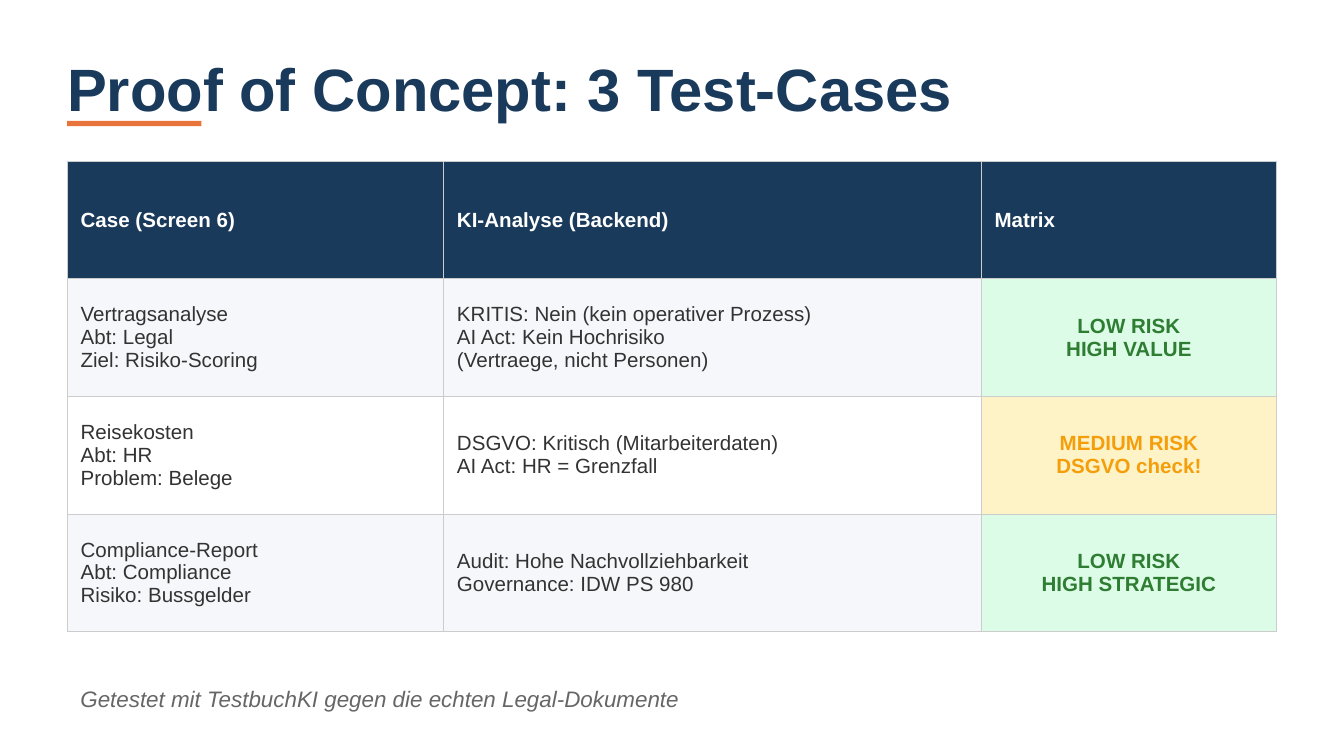
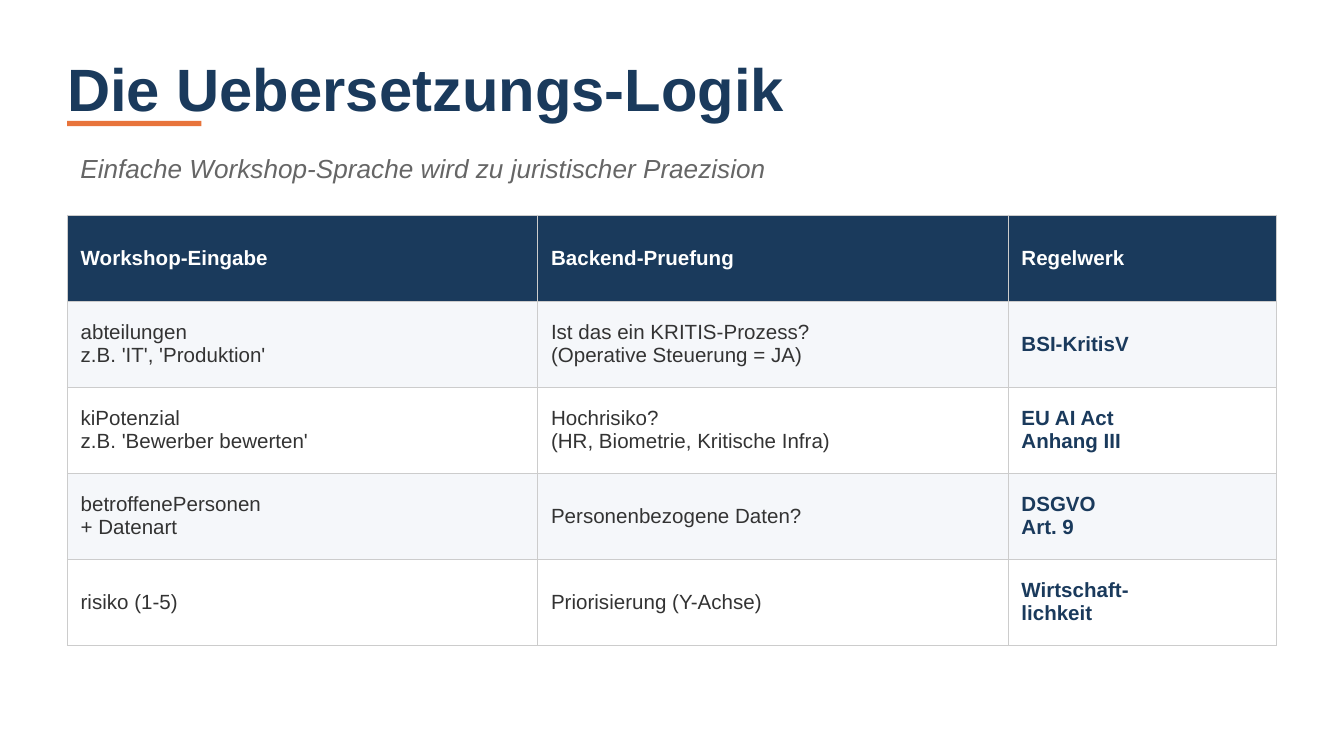
from lxml import etree
from pptx import Presentation
from pptx import util as u
from pptx.dml import color
from pptx.enum import shapes, text
from pptx.oxml import ns

FONT = "Arial"
NAVY, ORANGE, WHITE = "1A3A5C", "E8743B", "FFFFFF"
INK, GREY, RULE, STRIPE = "333333", "666666", "CCCCCC", "F5F7FA"
GREEN, GREEN_TINT = "2E7D32", "DCFCE7"
AMBER, AMBER_TINT = "F59E0B", "FEF3C7"

SLIDE_WIDTH = 10
SLIDE_HEIGHT = SLIDE_WIDTH * 9 / 16
LEFT, WIDTH = 0.5, 9
TITLE_STYLE = {"size": 32, "color": NAVY, "bold": True}
HEADER_STYLE = {"size": 11, "color": WHITE, "bold": True}
BODY_STYLE = {"size": 11, "color": INK, "bold": False}
RULEBOOK_STYLE = {"size": 11, "color": NAVY, "bold": True}

# Rating name -> text colour and cell fill
RATINGS = {"low": (GREEN, GREEN_TINT), "medium": (AMBER, AMBER_TINT)}

CASES = [
    ("Vertragsanalyse\nAbt: Legal\nZiel: Risiko-Scoring",
     "KRITIS: Nein (kein operativer Prozess)\nAI Act: Kein Hochrisiko\n(Vertraege, nicht Personen)",
     "LOW RISK\nHIGH VALUE", "low"),
    ("Reisekosten\nAbt: HR\nProblem: Belege",
     "DSGVO: Kritisch (Mitarbeiterdaten)\nAI Act: HR = Grenzfall",
     "MEDIUM RISK\nDSGVO check!", "medium"),
    ("Compliance-Report\nAbt: Compliance\nRisiko: Bussgelder",
     "Audit: Hohe Nachvollziehbarkeit\nGovernance: IDW PS 980",
     "LOW RISK\nHIGH STRATEGIC", "low"),
]

TRANSLATIONS = [
    ("abteilungen\nz.B. 'IT', 'Produktion'",
     "Ist das ein KRITIS-Prozess?\n(Operative Steuerung = JA)", "BSI-KritisV"),
    ("kiPotenzial\nz.B. 'Bewerber bewerten'",
     "Hochrisiko?\n(HR, Biometrie, Kritische Infra)", "EU AI Act\nAnhang III"),
    ("betroffenePersonen\n+ Datenart", "Personenbezogene Daten?", "DSGVO\nArt. 9"),
    ("risiko (1-5)", "Priorisierung (Y-Achse)", "Wirtschaft-\nlichkeit"),
]


def rgb(value):
    return color.RGBColor.from_string(value)


def inches(*lengths):
    return [u.Inches(length) for length in lengths]


def write(frame, wording, style, align=text.PP_ALIGN.LEFT):
    """Put each line of the wording in its own paragraph."""
    frame.text = wording
    for paragraph in frame.paragraphs:
        paragraph.alignment = align
        font = paragraph.runs[0].font
        font.color.rgb = rgb(style["color"])
        formats = {**style, "name": FONT, "size": u.Pt(style["size"])}
        del formats["color"]
        for attribute, value in formats.items():
            setattr(font, attribute, value)


def add_line_of_text(slide, box, wording, style, margin=None):
    frame = slide.shapes.add_textbox(*inches(*box)).text_frame
    frame.word_wrap = True
    frame.vertical_anchor = text.MSO_ANCHOR.MIDDLE
    if margin is not None:
        for side in ("left", "top", "right", "bottom"):
            setattr(frame, f"margin_{side}", u.Inches(margin))
    write(frame, wording, style)


def add_title(slide, wording, box=(LEFT, 0.3, WIDTH, 0.7)):
    """Title with a short accent bar across its lower edge."""
    left, top, _, height = box
    add_line_of_text(slide, box, wording, TITLE_STYLE, margin=0)
    accent = slide.shapes.add_shape(
        shapes.MSO_SHAPE.RECTANGLE, *inches(left, top + height - 0.1, 1, 0.04))
    accent.shadow.inherit = False
    accent.fill.solid()
    accent.fill.fore_color.rgb = rgb(ORANGE)
    accent.line.fill.background()


def add_remark(slide, top, wording, size):
    add_line_of_text(slide, (LEFT, top, WIDTH, 0.4), wording,
                     {"size": size, "color": GREY, "italic": True})


def add_borders(cell):
    properties = cell._tc.get_or_add_tcPr()
    for side in "LRTB":
        line = etree.SubElement(properties, ns.qn(f"a:ln{side}"), w=str(u.Pt(0.5)))
        fill = etree.SubElement(line, ns.qn("a:solidFill"))
        etree.SubElement(fill, ns.qn("a:srgbClr"), val=RULE)


def fill_cell(cell, wording, style, fill, align=text.PP_ALIGN.LEFT):
    add_borders(cell)
    cell.fill.solid()
    cell.fill.fore_color.rgb = rgb(fill)
    cell.vertical_anchor = text.MSO_ANCHOR.MIDDLE
    write(cell.text_frame, wording, style, align)


def add_striped_table(slide, box, widths, headings, rows, fill_last):
    """Header and striped rows; fill_last(cell, row, stripe) fills the last column."""
    table = slide.shapes.add_table(
        len(rows) + 1, len(headings), *inches(*box)).table
    for column, width in zip(table.columns, widths):
        column.width = u.Inches(width)
    for index, heading in enumerate(headings):
        fill_cell(table.cell(0, index), heading, HEADER_STYLE, NAVY)
    last = len(headings) - 1
    for number, row in enumerate(rows, start=1):
        stripe = STRIPE if number % 2 else WHITE
        for index in range(last):
            fill_cell(table.cell(number, index), row[index], BODY_STYLE, stripe)
        fill_last(table.cell(number, last), row, stripe)


def fill_rating(cell, row, stripe):
    ink, tint = RATINGS[row[3]]
    fill_cell(cell, row[2], {**RULEBOOK_STYLE, "color": ink}, tint,
              text.PP_ALIGN.CENTER)


def fill_rulebook(cell, row, stripe):
    fill_cell(cell, row[2], RULEBOOK_STYLE, stripe)


def build_test_cases(slide):
    add_title(slide, "Proof of Concept: 3 Test-Cases")
    add_striped_table(slide, (LEFT, 1.2, WIDTH, 3.5), (2.8, 4, 2.2),
                      ("Case (Screen 6)", "KI-Analyse (Backend)", "Matrix"),
                      CASES, fill_rating)
    add_remark(slide, 5, "Getestet mit TestbuchKI gegen die echten Legal-Dokumente", 12)


def build_translation_logic(slide):
    add_title(slide, "Die Uebersetzungs-Logik")
    add_remark(slide, 1.05, "Einfache Workshop-Sprache wird zu juristischer Praezision", 14)
    add_striped_table(slide, (LEFT, 1.6, WIDTH, 3.2), (3.5, 3.5, 2),
                      ("Workshop-Eingabe", "Backend-Pruefung", "Regelwerk"),
                      TRANSLATIONS, fill_rulebook)


def main():
    deck = Presentation()
    deck.slide_width, deck.slide_height = inches(SLIDE_WIDTH, SLIDE_HEIGHT)
    for build in (build_test_cases, build_translation_logic):
        build(deck.slides.add_slide(deck.slide_layouts[6]))
    deck.save("out.pptx")


if __name__ == "__main__":
    main()
